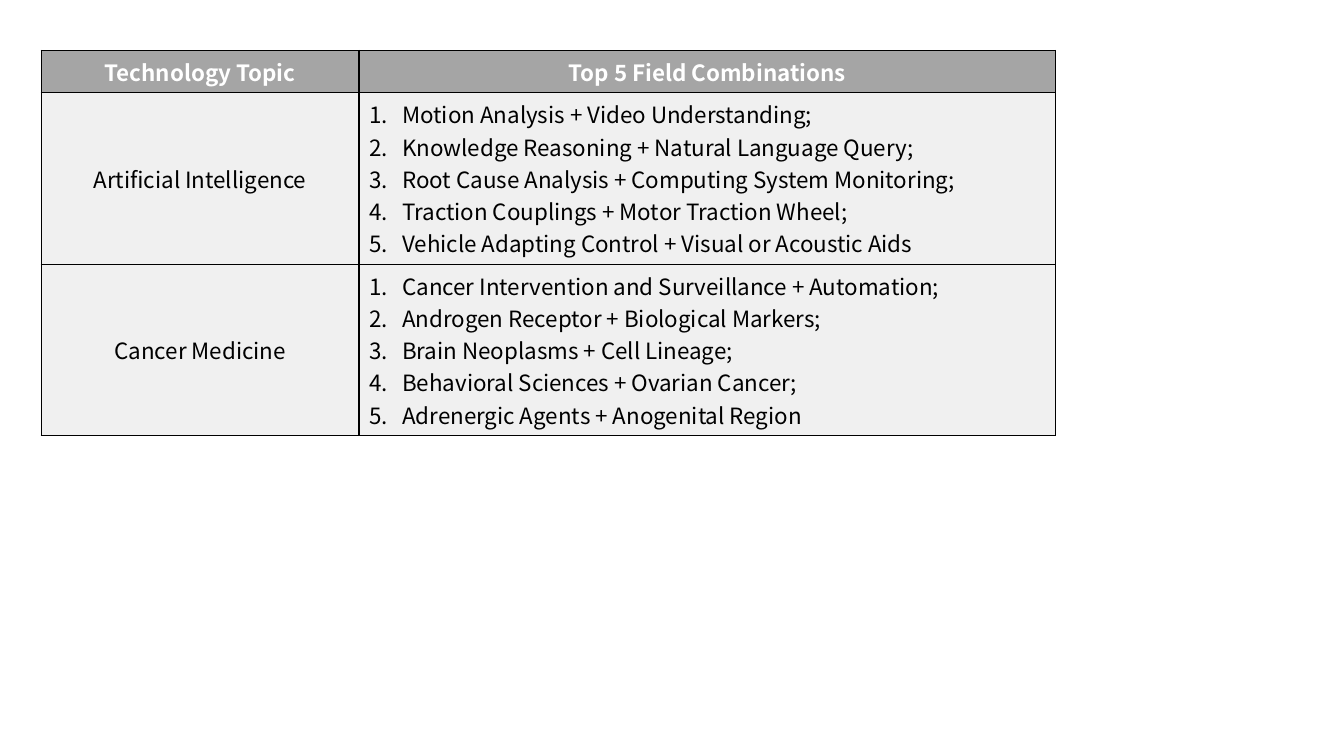
from lxml.etree import SubElement
from pptx import Presentation
from pptx.dml.color import RGBColor
from pptx.enum.text import MSO_ANCHOR as Anchor, PP_ALIGN as Align
from pptx.oxml import parse_xml
from pptx.oxml.ns import nsdecls, qn
from pptx.util import Inches, Pt

FONT = "Noto Sans CJK SC"
FONT_SIZE = Pt(16)
WHITE = RGBColor(0xFF, 0xFF, 0xFF)
BLACK = RGBColor(0x00, 0x00, 0x00)
HEADER_GREY = RGBColor(0xA5, 0xA5, 0xA5)
BODY_GREY = RGBColor(0xF0, 0xF0, 0xF0)

LEFT, TOP = Inches(0.41), Inches(0.5)
COLUMN_WIDTHS = [Inches(3.15), Inches(6.91)]
HEADER_HEIGHT, TOPIC_HEIGHT = Inches(0.41), Inches(1.7)
NUMBER_INDENT = Inches(0.33)

HEADINGS = ["Technology Topic", "Top 5 Field Combinations"]
TOPICS = {
    "Artificial Intelligence": [
        "Motion Analysis + Video Understanding;",
        "Knowledge Reasoning + Natural Language Query;",
        "Root Cause Analysis + Computing System Monitoring;",
        "Traction Couplings + Motor Traction Wheel;",
        "Vehicle Adapting Control + Visual or Acoustic Aids",
    ],
    "Cancer Medicine": [
        "Cancer Intervention and Surveillance + Automation;",
        "Androgen Receptor + Biological Markers;",
        "Brain Neoplasms + Cell Lineage;",
        "Behavioral Sciences + Ovarian Cancer;",
        "Adrenergic Agents + Anogenital Region",
    ],
}


def add_borders(cell):
    """Draw a thin line on all four sides of a cell."""
    properties = cell._tc.get_or_add_tcPr()
    for position, side in enumerate(("lnL", "lnR", "lnT", "lnB")):
        border = parse_xml(
            f'<a:{side} {nsdecls("a")} w="{Pt(1)}"><a:solidFill>'
            f'<a:srgbClr val="{BLACK}"/></a:solidFill></a:{side}>')
        properties.insert(position, border)


def number_paragraph(paragraph):
    """Give a paragraph an automatic number with a hanging indent."""
    properties = paragraph._p.get_or_add_pPr()
    properties.set("marL", str(NUMBER_INDENT))
    properties.set("indent", str(-NUMBER_INDENT))
    SubElement(properties, qn("a:buAutoNum"), type="arabicPeriod")


def fill_cell(cell, lines, fill, color, bold=False, numbered=False):
    cell.fill.solid()
    cell.fill.fore_color.rgb = fill
    cell.vertical_anchor = Anchor.MIDDLE
    add_borders(cell)
    cell.text_frame.text = "\n".join(lines)
    for paragraph in cell.text_frame.paragraphs:
        paragraph.alignment = Align.LEFT if numbered else Align.CENTER
        if numbered:
            number_paragraph(paragraph)
        for run in paragraph.runs:
            run.font.name = FONT
            run.font.size = FONT_SIZE
            run.font.bold = bold
            run.font.color.rgb = color


def add_topic_table(slide):
    heights = [HEADER_HEIGHT] + [TOPIC_HEIGHT] * len(TOPICS)
    table = slide.shapes.add_table(
        len(heights), len(COLUMN_WIDTHS), LEFT, TOP,
        sum(COLUMN_WIDTHS), sum(heights)).table
    for column, width in zip(table.columns, COLUMN_WIDTHS):
        column.width = width
    for row, height in zip(table.rows, heights):
        row.height = height

    # Header row
    for column, heading in enumerate(HEADINGS):
        fill_cell(table.cell(0, column), [heading], HEADER_GREY, WHITE, bold=True)

    # One row for each topic
    for row, (topic, combinations) in enumerate(TOPICS.items(), start=1):
        fill_cell(table.cell(row, 0), [topic], BODY_GREY, BLACK)
        fill_cell(table.cell(row, 1), combinations, BODY_GREY, BLACK, numbered=True)


def main():
    deck = Presentation()
    deck.slide_width, deck.slide_height = Inches(13.33), Inches(7.5)
    slide = deck.slides.add_slide(deck.slide_layouts[6])
    add_topic_table(slide)
    deck.save("out.pptx")


main()
